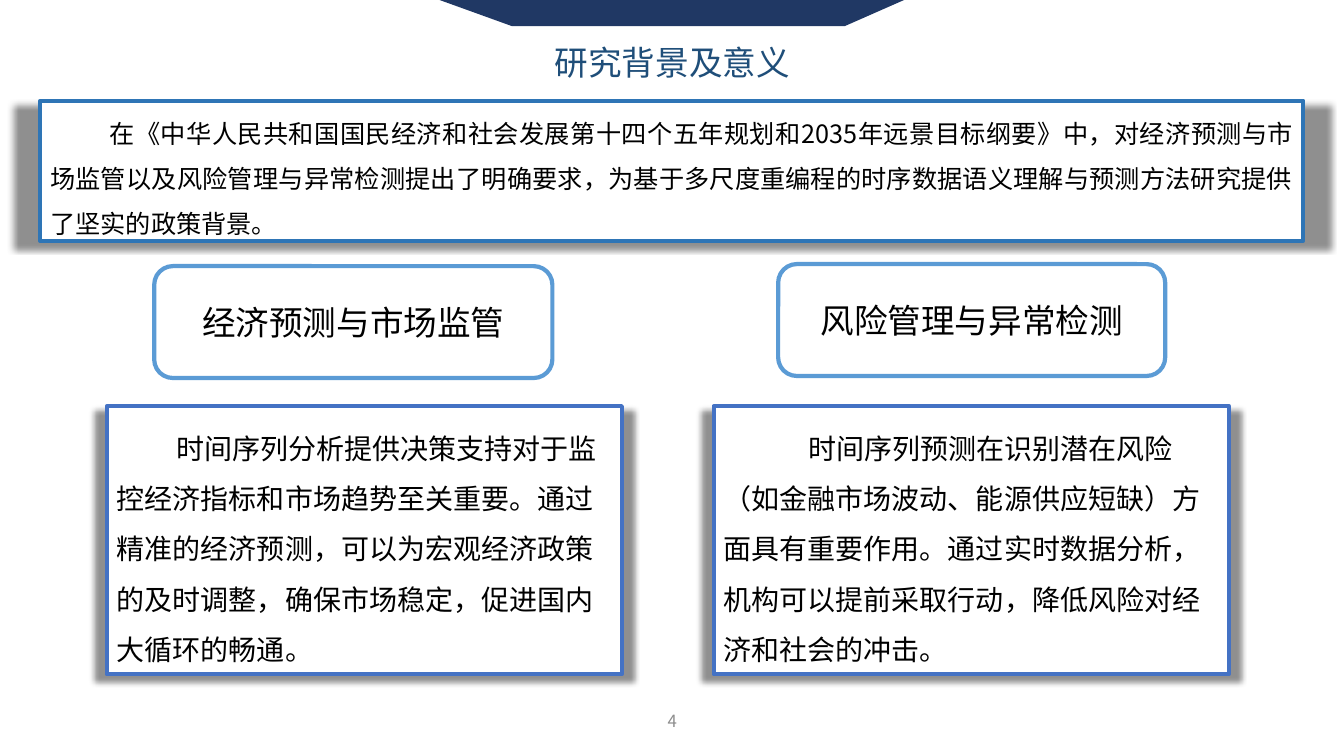
from lxml.etree import SubElement
from pptx import Presentation
from pptx.dml.color import RGBColor
from pptx.enum.shapes import MSO_SHAPE as Shape
from pptx.enum.text import MSO_ANCHOR as Anchor, PP_ALIGN as Align
from pptx.oxml.ns import qn
from pptx.util import Emu, Inches, Pt

COLORS = {
    "navy": "203864", "title": "1F4E79", "policy": "2E75B6", "heading": "5B9BD5",
    "detail": "4472C4", "white": "FFFFFF", "black": "000000", "page": "8C8C8C",
}
FONT = "Noto Sans CJK SC"
COLS, ROWS = 40, 30


def rgb(name):
    return RGBColor.from_string(COLORS[name])


def write(tf, text, size=20, color="black", align=Align.LEFT,
          anchor=Anchor.MIDDLE, indent=0, spacing=None):
    """Fill a text frame with one formatted paragraph."""
    tf.word_wrap = True
    tf.vertical_anchor = anchor
    p = tf.paragraphs[0]
    p.alignment = align
    if spacing:
        p.line_spacing = spacing
    if indent:
        pPr = p._p.get_or_add_pPr()
        pPr.set("marL", "0")
        pPr.set("indent", str(Inches(indent)))
    r = p.add_run()
    r.text = text
    r.font.size = Pt(size)
    r.font.name = FONT
    r.font.color.rgb = rgb(color)
    SubElement(r._r.get_or_add_rPr(), qn("a:ea"), typeface=FONT)


class Deck:
    """Slide on a grid of 40 columns by 30 rows."""

    def __init__(self):
        self.prs = Presentation()
        self.prs.slide_width, self.prs.slide_height = Inches(13.333), Inches(7.5)
        self.slide = self.prs.slides.add_slide(self.prs.slide_layouts[6])

    def x(self, cols):
        return Emu(round(self.prs.slide_width * cols / COLS))

    def y(self, rows):
        return Emu(round(self.prs.slide_height * rows / ROWS))

    def place(self, col, row, width, height):
        return self.x(col), self.y(row), self.x(width), self.y(height)

    def polygon(self, points, fill):
        first, *rest = [(self.x(c), self.y(r)) for c, r in points]
        builder = self.slide.shapes.build_freeform(*first)
        builder.add_line_segments(rest, close=True)
        s = builder.convert_to_shape()
        s.shadow.inherit = False
        s.fill.solid()
        s.fill.fore_color.rgb = rgb(fill)
        s.line.fill.background()

    def label(self, at, text, **fmt):
        s = self.slide.shapes.add_textbox(*self.place(*at))
        write(s.text_frame, text, **fmt)

    def box(self, at, text, line, kind=Shape.RECTANGLE, shadow=False, **fmt):
        s = self.slide.shapes.add_shape(kind, *self.place(*at))
        s.fill.solid()
        s.fill.fore_color.rgb = rgb("white")
        s.line.color.rgb = rgb(line)
        s.line.width = Pt(3)
        s.shadow.inherit = False
        if shadow:
            self.cast_shadow(s)
        write(s.text_frame, text, **fmt)

    def cast_shadow(self, s):
        effects = s._element.spPr.find(qn("a:effectLst"))
        outer = SubElement(effects, qn("a:outerShdw"), blurRad=str(Pt(4)),
                           dist=str(Pt(4)), dir="5400000", sx="104000",
                           algn="ctr", rotWithShape="0")
        color = SubElement(outer, qn("a:srgbClr"), val=COLORS["black"])
        SubElement(color, qn("a:alpha"), val="43000")


def main():
    deck = Deck()

    # Top banner and title
    deck.polygon([(13.08, 0), (26.91, 0), (25.14, 1.04), (15.24, 1.04)], "navy")
    deck.label((15.63, 1.48, 8.76, 2), "研究背景及意义", size=24, color="title",
               align=Align.CENTER, anchor=Anchor.TOP)

    # Policy background
    deck.box((1.2, 4, 37.59, 5.56),
             "在《中华人民共和国国民经济和社会发展第十四个五年规划和2035年远景目标纲要》中，"
             "对经济预测与市场监管以及风险管理与异常检测提出了明确要求，"
             "为基于多尺度重编程的时序数据语义理解与预测方法研究提供了坚实的政策背景。",
             "policy", shadow=True, size=18, align=Align.JUSTIFY,
             indent=0.59, spacing=1.5)

    # Two topics: heading place, heading, detail column, indent, detail
    topics = [
        ((4.59, 10.56, 11.85, 4.44), "经济预测与市场监管", 3.18, 0.59,
         "时间序列分析提供决策支持对于监控经济指标和市场趋势至关重要。"
         "通过精准的经济预测，可以为宏观经济政策的及时调整，"
         "确保市场稳定，促进国内大循环的畅通。"),
        ((23.16, 10.48, 11.52, 4.44), "风险管理与异常检测", 21.24, 0.84,
         "时间序列预测在识别潜在风险（如金融市场波动、能源供应短缺）方面具有重要作用。"
         "通过实时数据分析，机构可以提前采取行动，降低风险对经济和社会的冲击。"),
    ]
    for at, heading, col, indent, detail in topics:
        deck.box(at, heading, "heading", kind=Shape.ROUNDED_RECTANGLE,
                 size=24, align=Align.CENTER)
        deck.box((col, 16.12, 15.33, 10.64), detail, "detail", shadow=True,
                 indent=indent, spacing=1.5)

    # Page number
    deck.label((15.51, 27.8, 9, 1.6), "4", size=12, color="page", align=Align.CENTER)

    deck.prs.save("out.pptx")


if __name__ == "__main__":
    main()
